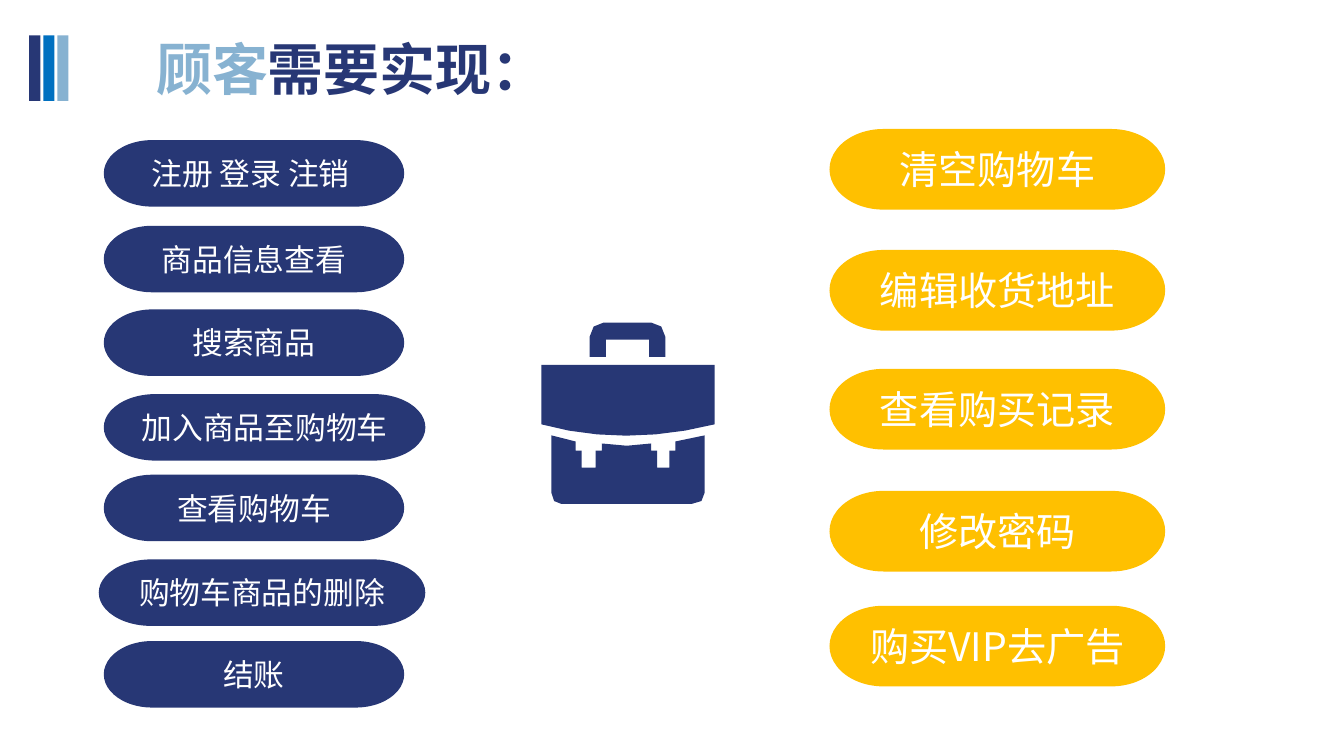
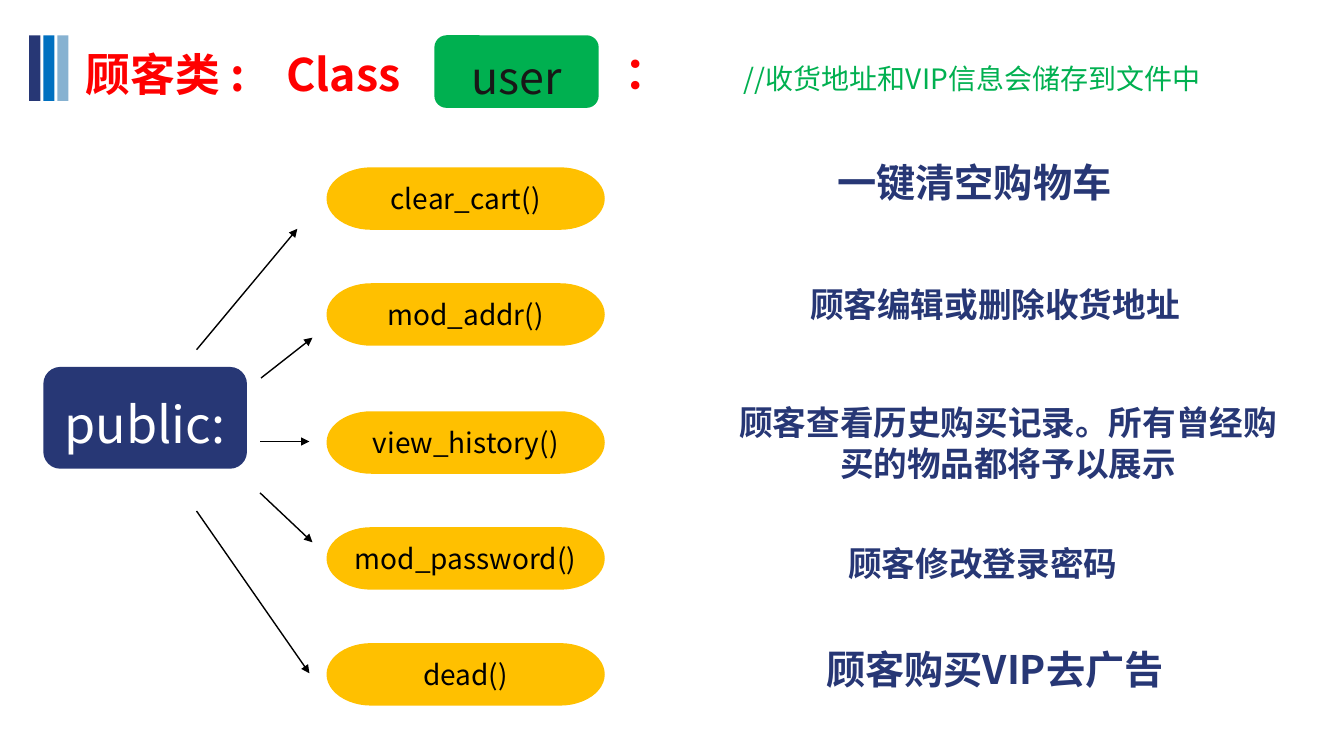
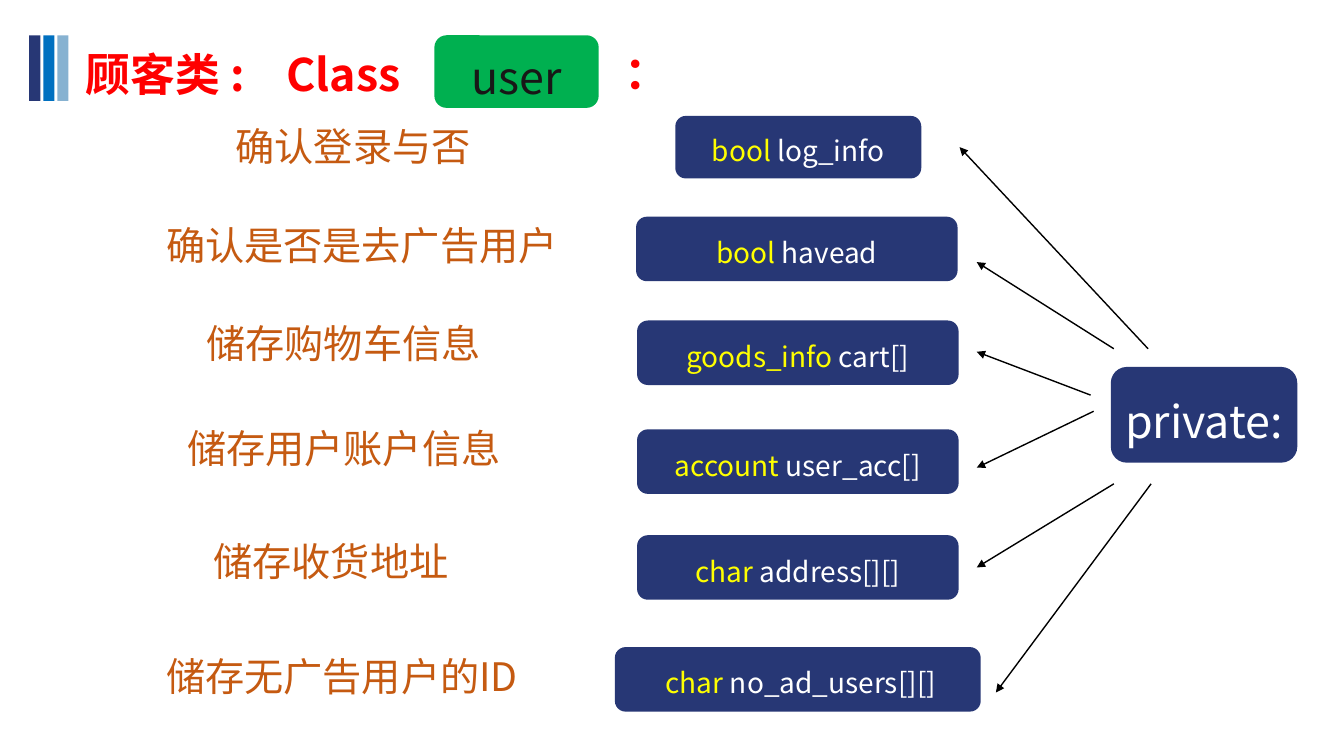
from dataclasses import dataclass

from lxml import etree
from pptx import Presentation
from pptx.dml.color import RGBColor
from pptx.enum.shapes import MSO_CONNECTOR, MSO_SHAPE
from pptx.enum.text import MSO_ANCHOR, PP_ALIGN
from pptx.oxml.ns import qn
from pptx.util import Inches, Pt

RECTANGLE = MSO_SHAPE.RECTANGLE
ROUNDED = MSO_SHAPE.ROUNDED_RECTANGLE
PILL = MSO_SHAPE.FLOWCHART_TERMINATOR
STRAIGHT = MSO_CONNECTOR.STRAIGHT
MIDDLE = MSO_ANCHOR.MIDDLE
LEFT = PP_ALIGN.LEFT
CENTER = PP_ALIGN.CENTER


@dataclass(frozen=True)
class Theme:
    font: str = "Noto Sans CJK SC"
    navy: str = "273775"
    blue: str = "0070C0"
    sky: str = "87B2D1"
    gold: str = "FFC000"
    green: str = "00B050"
    red: str = "FF0000"
    yellow: str = "FFFF00"
    brown: str = "C55A11"
    white: str = "FFFFFF"
    black: str = "000000"
    charcoal: str = "181717"
    title: int = 40
    access: int = 36
    heading: int = 32
    large: int = 28
    medium: int = 24
    small: int = 22
    code: int = 20
    arrow: int = 1


THEME = Theme()


def write(paragraph, parts, size, bold=False):
    for text, color in parts:
        run = paragraph.add_run()
        run.text = text
        font = run.font
        font.name = THEME.font
        font.size = Pt(size)
        font.bold = bold
        font.color.rgb = RGBColor.from_string(color)
        east_asian = etree.SubElement(run._r.get_or_add_rPr(), qn("a:ea"))
        east_asian.set("typeface", THEME.font)


def paint(shape, color):
    shape.shadow.inherit = False
    shape.fill.solid()
    shape.fill.fore_color.rgb = RGBColor.from_string(color)
    shape.line.fill.background()


def add_block(slide, kind, box, color):
    shape = slide.shapes.add_shape(kind, *map(Inches, box))
    paint(shape, color)
    return shape


def add_label(slide, kind, box, fill, parts, size):
    shape = add_block(slide, kind, box, fill)
    frame = shape.text_frame
    frame.word_wrap = True
    frame.vertical_anchor = MIDDLE
    frame.margin_left = frame.margin_right = 0
    frame.margin_top = frame.margin_bottom = 0
    paragraph = frame.paragraphs[0]
    paragraph.alignment = CENTER
    write(paragraph, parts, size)
    return paragraph


def add_pill(slide, box, fill, text, size, color):
    add_label(slide, PILL, box, fill, [(text, color)], size)


def add_code_box(slide, box, fill, parts, size):
    paragraph = add_label(slide, ROUNDED, box, fill, parts, size)
    paragraph.line_spacing = 1.2
    paragraph.space_before = paragraph.space_after = Pt(6)


def add_text(slide, box, parts, size, bold=False, alignment=LEFT):
    frame = slide.shapes.add_textbox(*map(Inches, box)).text_frame
    frame.word_wrap = True
    paragraph = frame.paragraphs[0]
    paragraph.alignment = alignment
    write(paragraph, parts, size, bold)
    return paragraph


def add_arrow(slide, start, end):
    connector = slide.shapes.add_connector(STRAIGHT, *map(Inches, start + end))
    connector.line.color.rgb = RGBColor.from_string(THEME.black)
    connector.line.width = Pt(THEME.arrow)
    properties = connector._element.spPr
    etree.SubElement(properties.find(qn("a:ln")), qn("a:tailEnd")).set("type", "triangle")
    etree.SubElement(properties, qn("a:effectLst"))


def curve(start, first, second, end, steps=2):
    points = []
    for step in range(steps + 1):
        t = step / steps
        weights = ((1 - t) ** 3, 3 * t * (1 - t) ** 2, 3 * t * t * (1 - t), t ** 3)
        controls = (start, first, second, end)
        points.append(tuple(
            sum(weight * point[axis] for weight, point in zip(weights, controls))
            for axis in (0, 1)
        ))
    return points


def add_outline(slide, contours, color):
    scaled = [[(Inches(x), Inches(y)) for x, y in contour] for contour in contours]
    first, *others = scaled
    builder = slide.shapes.build_freeform(*first[0], scale=1.0)
    builder.add_line_segments(first[1:], close=True)
    for contour in others:
        builder.move_to(*contour[0])
        builder.add_line_segments(contour[1:], close=True)
    paint(builder.convert_to_shape(), color)


def add_briefcase(slide):
    body = [
        *curve((6.99, 4.89), (6.99, 4.96), (6.95, 5), (6.86, 5)),
        *curve((5.57, 5), (5.51, 5), (5.47, 4.96), (5.47, 4.89)),
        (5.47, 4.32), (5.71, 4.38),
        (5.71, 4.47), (5.77, 4.47), (5.77, 4.64), (5.91, 4.64),
        (5.91, 4.47), (5.97, 4.47),
        *curve((5.97, 4.4), (6.14, 4.43), (6.3, 4.43), (6.46, 4.4)),
        (6.46, 4.47), (6.52, 4.47), (6.52, 4.64), (6.64, 4.64),
        (6.64, 4.47), (6.7, 4.47), (6.7, 4.38), (6.99, 4.32),
    ]
    handle = [
        *curve((6.46, 3.2), (6.54, 3.2), (6.6, 3.26), (6.6, 3.34)),
        (6.6, 3.54), (6.44, 3.54), (6.44, 3.37), (6.01, 3.37),
        (6.01, 3.54), (5.85, 3.54),
        *curve((5.85, 3.34), (5.85, 3.26), (5.91, 3.2), (5.99, 3.2)),
    ]
    flap = [
        (5.37, 3.62),
        *curve((5.37, 4.21), (5.91, 4.36), (6.5, 4.36), (7.09, 4.21), steps=6),
        (7.09, 3.62),
    ]
    add_outline(slide, [body, handle, flap], THEME.navy)


def add_slide(presentation):
    slide = presentation.slides.add_slide(presentation.slide_layouts[6])
    for index, color in enumerate((THEME.navy, THEME.blue, THEME.sky)):
        add_block(slide, RECTANGLE, (0.29 + 0.14 * index, 0.35, 0.11, 0.65), color)
    return slide


def add_class_slide(presentation):
    slide = add_slide(presentation)
    heading = add_text(slide, (0.75, 0.41, 3.35, 0.64),
                       [("顾客类 :\tClass", THEME.red)], THEME.heading, True)
    tabs = etree.SubElement(heading._p.get_or_add_pPr(), qn("a:tabLst"))
    etree.SubElement(tabs, qn("a:tab"), pos=str(Inches(1.99)), algn="l")
    heading_frame = slide.shapes[-1].text_frame
    heading_frame.margin_right = 0
    add_code_box(slide, (4.31, 0.35, 1.63, 0.72), THEME.green,
                 [("user", THEME.charcoal)], THEME.heading)
    add_text(slide, (6.1, 0.39, 0.41, 0.64), [("：", THEME.red)], THEME.heading, True)
    return slide


def build_requirements(presentation):
    slide = add_slide(presentation)
    add_briefcase(slide)
    add_text(slide, (1.45, 0.29, 5.28, 0.77),
             [("顾客", THEME.sky), ("需要实现：", THEME.navy)], THEME.title, True)
    for left, top, width, text in (
        (1.03, 1.39, 2.98, "注册 登录 注销 "),
        (1.03, 2.24, 2.98, "商品信息查看"),
        (1.03, 3.07, 2.98, "搜索商品"),
        (1.03, 3.91, 3.19, "加入商品至购物车"),
        (1.03, 4.71, 2.98, "查看购物车"),
        (0.98, 5.55, 3.24, "购物车商品的删除"),
        (1.03, 6.36, 2.98, "结账"),
    ):
        add_pill(slide, (left, top, width, 0.66), THEME.navy, text, THEME.small, THEME.white)
    for top, text in (
        (1.28, "清空购物车"),
        (2.48, "编辑收货地址"),
        (3.66, "查看购买记录"),
        (4.87, "修改密码"),
        (6.01, "购买VIP去广告"),
    ):
        add_pill(slide, (8.23, top, 3.33, 0.8), THEME.gold, text, THEME.large, THEME.white)


def build_public_members(presentation):
    slide = add_class_slide(presentation)
    add_text(slide, (7.28, 0.56, 4.94, 0.44),
             [("//收货地址和VIP信息会储存到文件中", THEME.green)], THEME.code)
    add_code_box(slide, (0.43, 3.64, 2.02, 1.01), THEME.navy,
                 [("public:", THEME.white)], THEME.access)
    for top, method, start, end in (
        (1.66, "clear_cart()", (1.95, 3.47), (2.95, 2.27)),
        (2.81, "mod_addr()", (2.59, 3.75), (3.1, 3.35)),
        (4.08, "view_history()", (2.58, 4.38), (3.07, 4.38)),
        (5.23, "mod_password()", (2.58, 4.89), (3.1, 5.38)),
        (6.38, "dead()", (1.95, 5.07), (3.07, 6.68)),
    ):
        add_pill(slide, (3.24, top, 2.76, 0.62), THEME.gold, method, THEME.code, THEME.black)
        add_arrow(slide, start, end)
    for box, text, size, alignment in (
        ((8.21, 1.52, 3.57, 0.57), "一键清空购物车", THEME.large, LEFT),
        ((6.96, 2.77, 5.82, 0.5), "顾客编辑或删除收货地址", THEME.medium, CENTER),
        ((7.09, 3.94, 5.82, 0.91), "顾客查看历史购买记录。所有曾经购买的物品都将予以展示",
         THEME.medium, CENTER),
        ((6.84, 5.34, 5.82, 0.5), "顾客修改登录密码", THEME.medium, CENTER),
        ((6.96, 6.35, 5.82, 0.57), "顾客购买VIP去广告", THEME.large, CENTER),
    ):
        add_text(slide, box, [(text, THEME.navy)], size, True, alignment)


def build_private_members(presentation):
    slide = add_class_slide(presentation)
    add_code_box(slide, (11.02, 3.64, 1.85, 0.95), THEME.navy,
                 [("private:", THEME.white)], THEME.heading)
    for box, kind, name, start, end in (
        ((6.7, 1.15, 2.44, 0.62), "bool ", "log_info", (11.39, 3.46), (9.52, 1.46)),
        ((6.31, 2.15, 3.19, 0.64), "bool ", "havead", (11.05, 3.46), (9.69, 2.6)),
        ((6.32, 3.18, 3.19, 0.64), "goods_info ", "cart[]", (10.82, 3.92), (9.69, 3.49)),
        ((6.32, 4.26, 3.19, 0.64), "account ", "user_acc[]", (10.85, 4.08), (9.69, 4.64)),
        ((6.32, 5.31, 3.19, 0.64), "char ", "address[][]", (11.05, 4.8), (9.69, 5.63)),
        ((6.1, 6.42, 3.63, 0.64), " char ", "no_ad_users[][]", (11.42, 4.8), (9.88, 6.87)),
    ):
        add_code_box(slide, box, THEME.navy,
                     [(kind, THEME.yellow), (name, THEME.white)], THEME.code)
        add_arrow(slide, start, end)
    for left, top, width, text in (
        (2.24, 1.16, 3.04, "确认登录与否"),
        (1.55, 2.15, 4.14, "确认是否是去广告用户"),
        (1.95, 3.12, 3.19, "储存购物车信息"),
        (1.76, 4.16, 4.68, "储存用户账户信息"),
        (2.02, 5.28, 4.68, "储存收货地址"),
        (1.55, 6.42, 3.82, "储存无广告用户的ID"),
    ):
        add_text(slide, (left, top, width, 0.57), [(text, THEME.brown)], THEME.large)


def main():
    presentation = Presentation()
    presentation.slide_width = Inches(40 / 3)
    presentation.slide_height = Inches(7.5)
    build_requirements(presentation)
    build_public_members(presentation)
    build_private_members(presentation)
    presentation.save("out.pptx")


if __name__ == "__main__":
    main()
